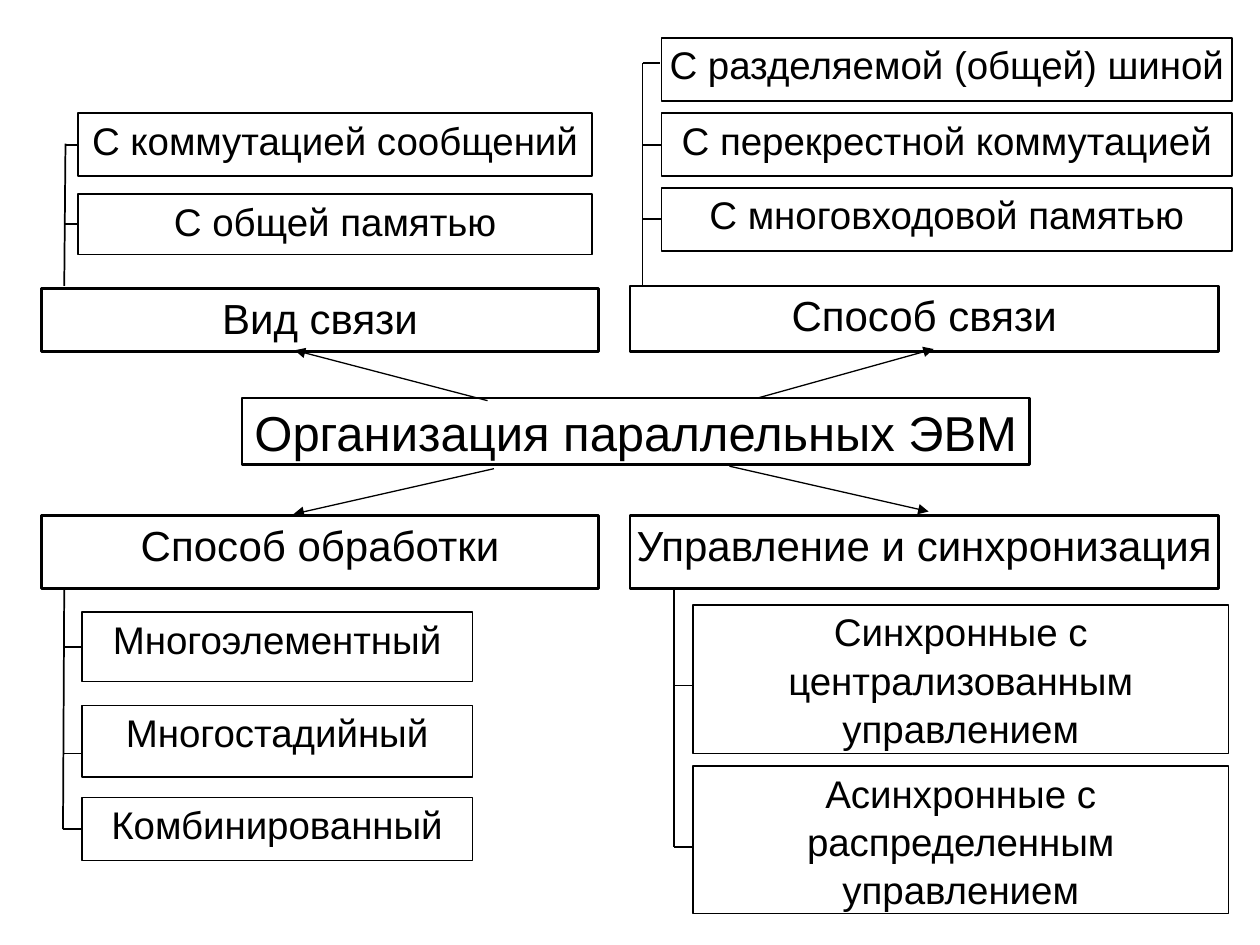
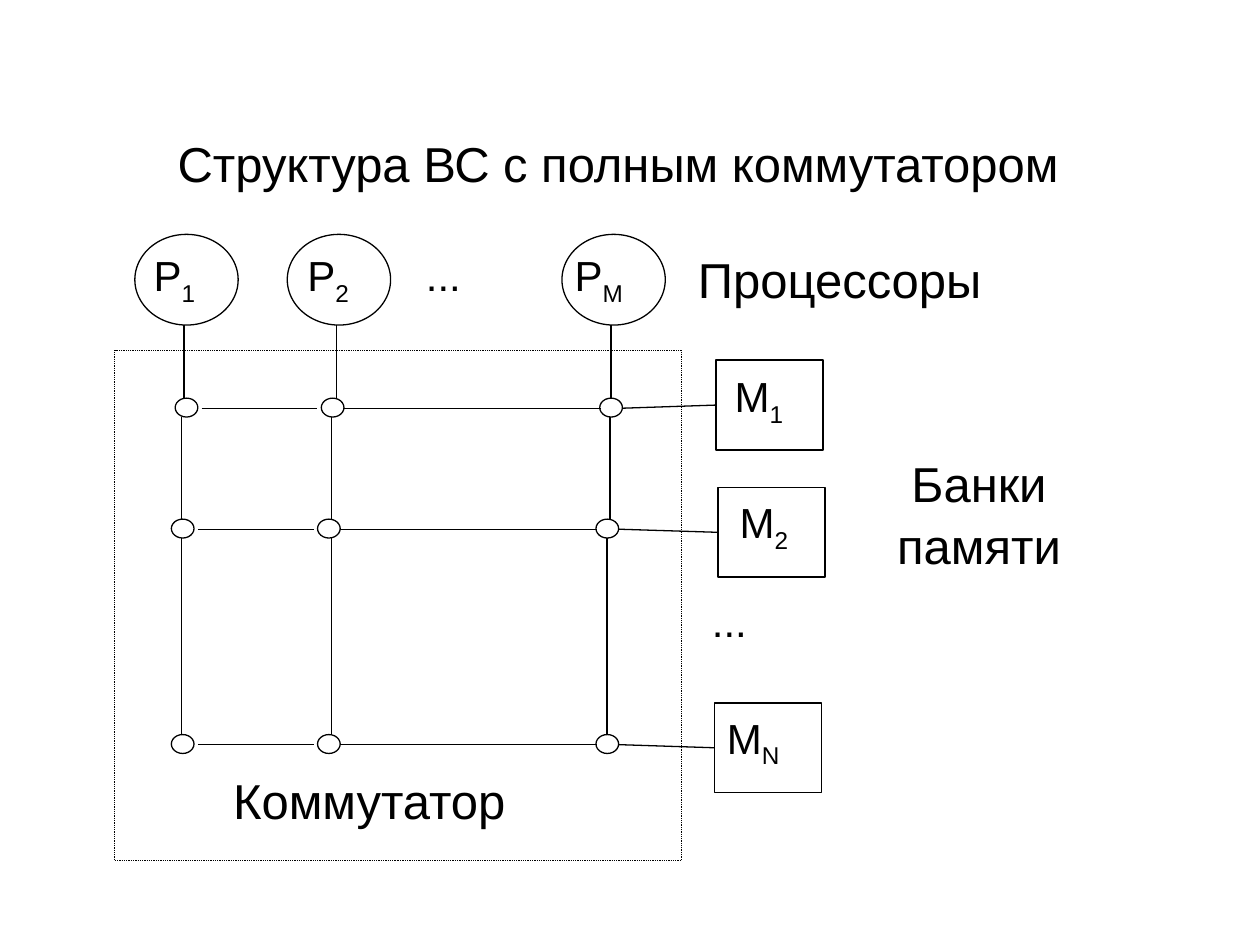
from lxml import etree
from pptx import Presentation
from pptx.dml.color import RGBColor
from pptx.enum import dml, shapes, text
from pptx.oxml.ns import qn
from pptx.util import Inches, Pt

COLORS = {"ink": "000000"}
FONT = "Arial"
SIZES = {"title": 28, "topic": 24, "option": 22}
LINE_SPACING = 1.05
LEFT, CENTER = text.PP_ALIGN.LEFT, text.PP_ALIGN.CENTER
RECT, OVAL = shapes.MSO_SHAPE.RECTANGLE, shapes.MSO_SHAPE.OVAL
LEFT_SIDE = 1

# Slide 1: boxes are (left, top, width, height)
ROOT = ("Организация параллельных ЭВМ", (1.92, 3.16, 6.25, 0.53))
# Arrow: tip, then tail near the root. Options: text, top, height, tick y.
TOPICS = [
    {"name": "Вид связи", "box": (0.33, 2.29, 4.42, 0.5),
     "arrow": ((2.34, 2.78), (3.87, 3.18)),
     "trunk": ((0.52, 1.14), (0.51, 2.27)), "left": 0.62, "width": 4.08,
     "options": [("С коммутацией сообщений", 0.9, 0.5, 1.14),
                 ("С общей памятью", 1.54, 0.48, 1.78)]},
    {"name": "Способ связи", "box": (5, 2.27, 4.67, 0.52),
     "arrow": ((7.41, 2.77), (6.01, 3.16)),
     "trunk": ((5.1, 0.5), (5.1, 2.27)), "left": 5.25, "width": 4.53,
     "options": [("С разделяемой (общей) шиной", 0.3, 0.5, 0.5),
                 ("С перекрестной коммутацией", 0.9, 0.5, 1.14),
                 ("С многовходовой памятью", 1.49, 0.5, 1.73)]},
    {"name": "Способ обработки", "box": (0.33, 4.09, 4.42, 0.58),
     "arrow": ((2.33, 4.08), (3.92, 3.72)),
     "trunk": ((0.5, 6.58), (0.51, 4.66)), "left": 0.65, "width": 3.1,
     "options": [("Многоэлементный", 4.86, 0.55, 5.15),
                 ("Многостадийный", 5.6, 0.57, 5.98),
                 ("Комбинированный", 6.33, 0.5, 6.58)]},
    {"name": "Управление и синхронизация", "box": (5, 4.09, 4.67, 0.58),
     "arrow": ((7.37, 4.06), (5.79, 3.7)),
     "trunk": ((5.35, 6.72), (5.35, 4.66)), "left": 5.5, "width": 4.25,
     "options": [("Синхронные с централизованным управлением", 4.8, 1.18, 5.44),
                 ("Асинхронные с распределенным управлением", 6.08, 1.17, 6.72)]},
]

# Slide 2
CAPTIONS = [
    (["Структура ВС с полным коммутатором"], (0.81, 1.03, 8.19, 0.59), 28, CENTER),
    (["Процессоры"], (5.53, 1.95, 3.07, 0.59), 28, LEFT),
    (["Банки", "памяти"], (6.63, 3.57, 2.28, 1.16), 28, CENTER),
    (["Коммутатор"], (1.84, 6.08, 3.2, 0.59), 28, LEFT),
    (["..."], (3.37, 1.95, 1.19, 0.54), 24, LEFT),
    (["..."], (5.64, 4.7, 1.18, 0.54), 24, LEFT),
]
SWITCH = (0.91, 2.78, 4.5, 4.05)
# Processors: index, circle left, label left, x of the drop into each row
PROCESSORS = [("1", 1.07, 1.21, (1.46, 1.44, 1.44)),
              ("2", 2.28, 2.43, (2.67, 2.63, 2.63)),
              ("M", 4.46, 4.55, (4.85, 4.84, 4.82))]
CIRCLE_TOP, CIRCLE_W, CIRCLE_H = 1.86, 0.82, 0.72
# Memory banks: index, box left and top, label left and top
BANKS = [("1", (5.68, 2.86), (5.82, 2.91)),
         ("2", (5.7, 3.87), (5.86, 3.91)),
         ("N", (5.67, 5.58), (5.76, 5.62))]
BANK_W, BANK_H = 0.85, 0.71
NODE_LEFTS, NODE_TOPS = (1.36, 2.52, 4.73), (3.16, 4.12, 5.83)
NODE_W, NODE_H = 0.18, 0.15
ROW_SHIFTS = (0.03, 0, 0)
WIRES = [(1.57, 2.49), (2.7, 4.74)]
BANK_WIRE_START = 4.91


def style_line(line, weight):
    line.color.rgb = RGBColor.from_string(COLORS["ink"])
    line.width = Pt(weight)


def write(s, paragraphs, size, align):
    """Each paragraph is a string or a (base, subscript) pair."""
    tf = s.text_frame
    for name, value in {"word_wrap": True, "vertical_anchor": text.MSO_ANCHOR.TOP,
                        "margin_left": Inches(0.01), "margin_right": Inches(0.01),
                        "margin_top": Inches(0.01),
                        "margin_bottom": Inches(0.01)}.items():
        setattr(tf, name, value)
    for i, content in enumerate(paragraphs):
        p = tf.add_paragraph() if i else tf.paragraphs[0]
        p.alignment, p.line_spacing = align, LINE_SPACING
        runs = (content,) if isinstance(content, str) else content
        for j, words in enumerate(runs):
            r = p.add_run()
            r.text = words
            r.font.name, r.font.size = FONT, Pt(size)
            r.font.color.rgb = RGBColor.from_string(COLORS["ink"])
            if j:
                r._r.get_or_add_rPr().set("baseline", "-25000")


def add_label(sp, paragraphs, box, size, align=LEFT):
    write(sp.add_textbox(*map(Inches, box)), paragraphs, size, align)


def add_outline(sp, kind, box, weight, label=None, size=None):
    s = sp.add_shape(kind, *map(Inches, box))
    s.shadow.inherit = False
    s.fill.background()
    style_line(s.line, weight)
    if label:
        write(s, [label], size, CENTER)
    return s


def add_line(sp, start, end, weight, arrow=False):
    """Draw a straight line; an arrow has its head at the start."""
    c = sp.add_connector(shapes.MSO_CONNECTOR.STRAIGHT,
                         *map(Inches, (*start, *end)))
    style_line(c.line, weight)
    if arrow:
        etree.SubElement(c.line._get_or_add_ln(), qn("a:headEnd"), type="triangle")
    etree.SubElement(c._element.spPr, qn("a:effectLst"))
    return c


def build_classification(sp):
    add_outline(sp, RECT, ROOT[1], 1.5, ROOT[0], SIZES["title"])
    for topic in TOPICS:
        add_outline(sp, RECT, topic["box"], 1.5, topic["name"], SIZES["topic"])
        add_line(sp, *topic["arrow"], 0.75, arrow=True)
        add_line(sp, *topic["trunk"], 1)
        trunk_x, left = topic["trunk"][0][0], topic["left"]
        for name, top, height, tick_y in topic["options"]:
            s = add_outline(sp, RECT, (left, top, topic["width"], height), 1,
                            name, SIZES["option"])
            middle = top + height / 2
            joined = abs(tick_y - middle) < 0.02
            y = middle if joined else tick_y
            tick = add_line(sp, (trunk_x, y), (left - 0.01, y), 1)
            if joined:
                tick.end_connect(s, LEFT_SIDE)


def build_switch(sp):
    for paragraphs, box, size, align in CAPTIONS:
        add_label(sp, paragraphs, box, size, align)
    frame = add_outline(sp, RECT, SWITCH, 0.5)
    frame.line.dash_style = dml.MSO_LINE.ROUND_DOT

    for index, left, label_left, drops in PROCESSORS:
        add_outline(sp, OVAL, (left, CIRCLE_TOP, CIRCLE_W, CIRCLE_H), 0.75)
        add_label(sp, [("P", index)], (label_left, 1.95, 0.75, 0.59), SIZES["topic"])
        start_y = CIRCLE_TOP + CIRCLE_H
        for x, top in zip(drops, NODE_TOPS):
            add_line(sp, (x, start_y), (x, top), 1)
            start_y = top + NODE_H

    for (index, corner, label), top, shift in zip(BANKS, NODE_TOPS, ROW_SHIFTS):
        bank = add_outline(sp, RECT, (*corner, BANK_W, BANK_H), 1)
        add_label(sp, [("M", index)], (*label, 0.75, 0.59), SIZES["topic"])
        for left in NODE_LEFTS:
            add_outline(sp, OVAL, (left + shift, top, NODE_W, NODE_H), 0.75)
        y = top + 0.08
        for x1, x2 in WIRES:
            add_line(sp, (x1 + shift, y), (x2 + shift, y), 0.75)
        wire = add_line(sp, (BANK_WIRE_START + shift, y), (corner[0], y), 0.75)
        wire.end_connect(bank, LEFT_SIDE)


def main():
    prs = Presentation()
    prs.slide_width, prs.slide_height = Inches(10), Inches(7.5)
    for build in (build_classification, build_switch):
        build(prs.slides.add_slide(prs.slide_layouts[6]).shapes)
    prs.save("out.pptx")


if __name__ == "__main__":
    main()
